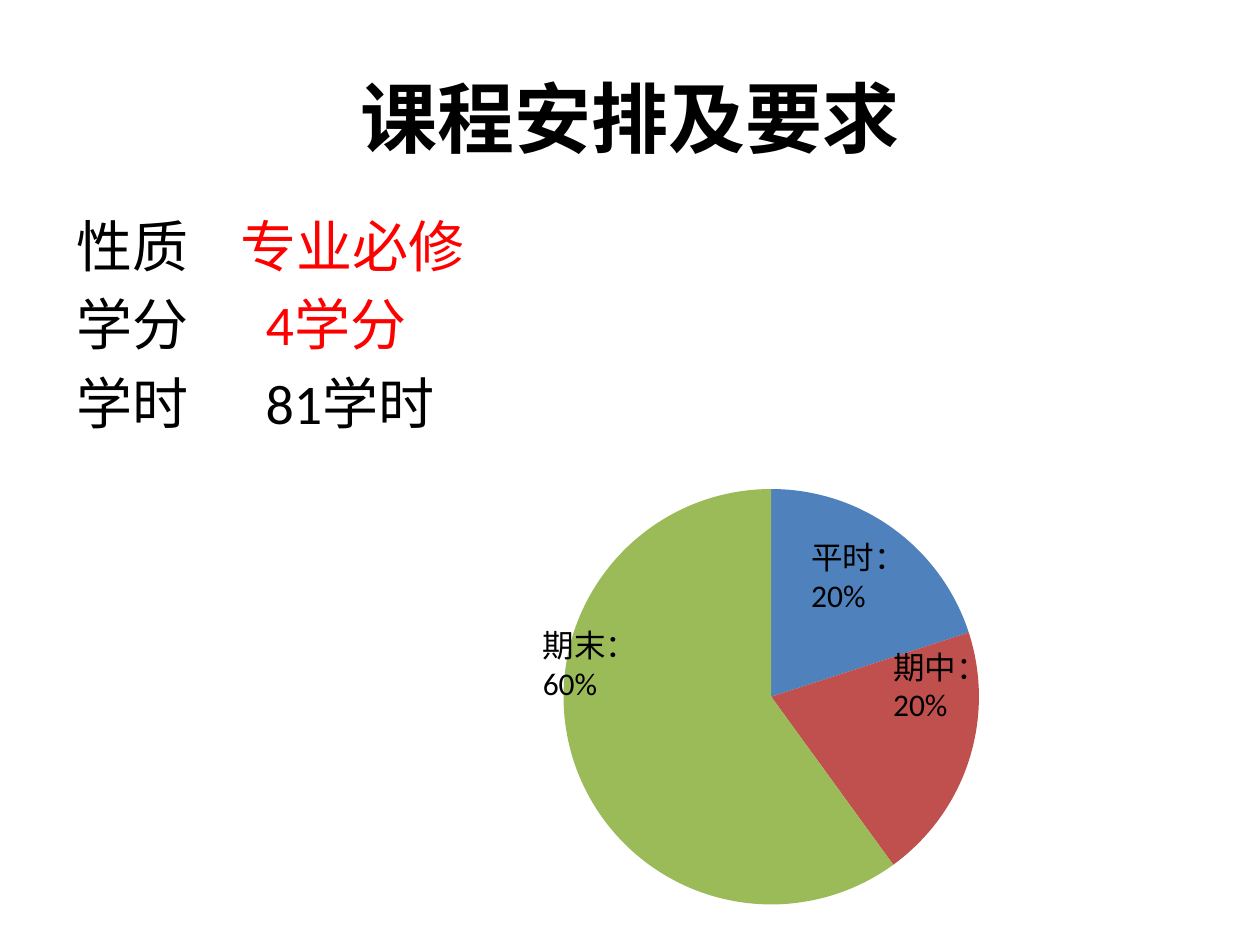
from dataclasses import dataclass
from lxml.etree import SubElement
from pptx import Presentation
from pptx.chart.data import CategoryChartData
from pptx.dml.color import RGBColor
from pptx.enum.chart import XL_CHART_TYPE
from pptx.enum.text import MSO_ANCHOR, PP_ALIGN
from pptx.oxml import parse_xml
from pptx.oxml.ns import nsdecls, qn
from pptx.util import Inches, Pt

TITLE = "课程安排及要求"
FACTS = [
    ("性质", "专业必修", "accent", 1.3),
    ("学分", "4学分", "accent", 1.5),
    ("学时", "81学时", "text", 1.5),
]
GRADES = [
    ("平时", 20, "4F81BD", (6.34, 4.22)),
    ("期中", 20, "C0504D", (6.99, 5.09)),
    ("期末", 60, "9BBB59", (4.21, 4.92)),
]
WIDTH, HEIGHT = 10, 7.5
CHART_BOX = (2.42, 3.74, 7.41, 3.58)
PIE_DIAMETER = 3.3
LABEL_SIZE = (1.4, 0.4)


@dataclass
class Theme:
    text: str = "000000"
    accent: str = "FF0000"
    latin: str = "Calibri"
    heading: str = "Noto Sans CJK SC"
    title_size: int = 44
    body_size: int = 32
    label_size: int = 18


theme = Theme()


def add_text(slide, box, paragraphs, size, font=theme.latin, bold=False,
             align=PP_ALIGN.LEFT, anchor=MSO_ANCHOR.TOP, space_before=0,
             tabs=(), right_inset=0.1):
    shape = slide.shapes.add_textbox(*map(Inches, box))
    frame = shape.text_frame
    frame.word_wrap = True
    frame.vertical_anchor = anchor
    frame.margin_right = Inches(right_inset)
    for index, runs in enumerate(paragraphs):
        paragraph = frame.paragraphs[0] if index == 0 else frame.add_paragraph()
        paragraph.alignment = align
        paragraph.space_before = Pt(space_before)
        if tabs:
            properties = paragraph._p.get_or_add_pPr()
            stops = SubElement(properties, qn("a:tabLst"))
            SubElement(stops, qn("a:tab"), pos=str(Inches(tabs[index])), algn="l")
        for text, color in runs:
            run = paragraph.add_run()
            run.text = text
            run.font.name = font
            run.font.size = Pt(size)
            run.font.bold = bold
            run.font.color.rgb = RGBColor.from_string(color)
            if font == theme.heading:
                SubElement(run._r.get_or_add_rPr(), qn("a:ea"), typeface=font)
    return shape


def add_grade_pie(slide):
    data = CategoryChartData()
    data.categories = [str(number) for number in range(1, len(GRADES) + 1)]
    data.add_series("Series 1", [grade[1] for grade in GRADES])
    chart = slide.shapes.add_chart(
        XL_CHART_TYPE.PIE, *map(Inches, CHART_BOX), data).chart
    chart.has_legend = False
    chart.has_title = False
    chart.font.name = theme.latin
    chart.font.size = Pt(theme.label_size)
    chart.font.color.rgb = RGBColor.from_string(theme.text)
    plot = chart.plots[0]
    plot.vary_by_categories = True
    for index, grade in enumerate(GRADES):
        fill = plot.series[0].points[index].format.fill
        fill.solid()
        fill.fore_color.rgb = RGBColor.from_string(grade[2])
    width, height = (PIE_DIAMETER / side for side in CHART_BOX[2:])
    places = {"x": (1 - width) / 2, "y": (1 - height) / 2, "w": width, "h": height}
    values = "".join(f'<c:{key} val="{value:.3f}"/>' for key, value in places.items())
    layout = parse_xml(
        f'<c:layout {nsdecls("c")}><c:manualLayout><c:layoutTarget val="inner"/>'
        f'<c:xMode val="edge"/><c:yMode val="edge"/>{values}</c:manualLayout></c:layout>')
    area = chart._chartSpace.chart.plotArea
    for old in area.findall(qn("c:layout")):
        area.remove(old)
    area.insert(0, layout)


presentation = Presentation()
presentation.slide_width = Inches(WIDTH)
presentation.slide_height = Inches(HEIGHT)
slide = presentation.slides.add_slide(presentation.slide_layouts[6])

add_text(slide, (0.5, 0.3, 9, 1.25), [[(TITLE, theme.text)]], theme.title_size,
         font=theme.heading, bold=True, align=PP_ALIGN.CENTER,
         anchor=MSO_ANCHOR.MIDDLE)
add_text(slide, (0.51, 1.63, 9, 5.74),
         [[(name + "\t", theme.text), (value, getattr(theme, role))]
          for name, value, role, _ in FACTS],
         theme.body_size, space_before=theme.body_size * 0.2,
         tabs=[fact[3] for fact in FACTS])
add_grade_pie(slide)
for name, share, _, corner in GRADES:
    add_text(slide, corner + LABEL_SIZE, [[(f"{name}：{share}%", theme.text)]],
             theme.label_size, right_inset=0.3)

presentation.save("out.pptx")
